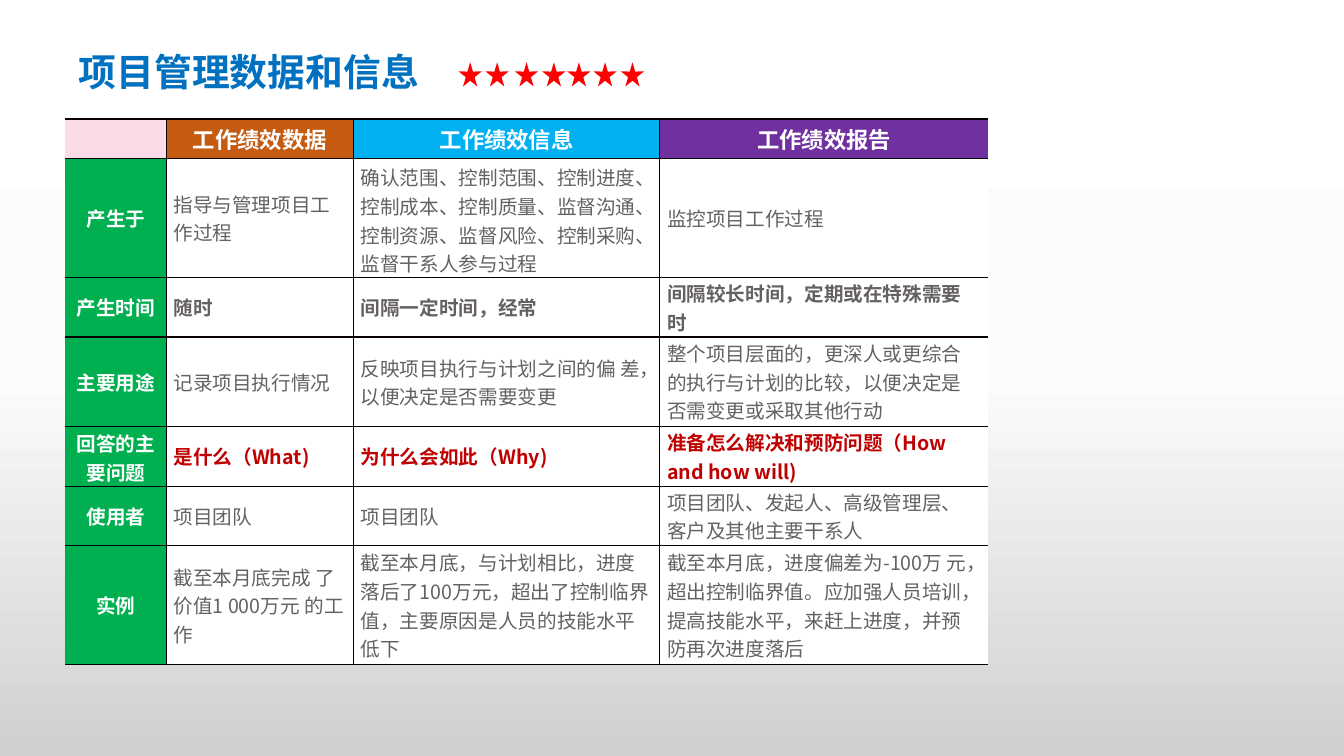
import copy
import lxml.etree
import pptx
import pptx.dml.color
import pptx.enum.shapes
import pptx.enum.text
import pptx.oxml.ns
import pptx.util

Cm = pptx.util.Cm
Pt = pptx.util.Pt
ALIGN = pptx.enum.text.PP_ALIGN
ANCHOR = pptx.enum.text.MSO_ANCHOR
qn = pptx.oxml.ns.qn

HUES = {
    "title": "0070C0", "star": "FF0000", "line": "080000", "white": "FFFFFF",
    "text": "656161", "key": "C00000", "side": "00B050", "blank": "FBDBE7",
    "data": "C55A11", "info": "00B0F0", "report": "7030A0",
    "mid": "FBFBFB", "end": "D0D0D0",
}
HEADS = ["blank", "data", "info", "report"]
COLS = [2.54, 4.72, 7.72, 8.28]
TALL, LOW = 3, 1.5
ROWS = [0.99, TALL, LOW, 2.26, LOW, LOW, TALL]
TIME, ASK = 2, 4  # rows with bold text
CELLS = [
    ["", "工作绩效数据", "工作绩效信息", "工作绩效报告"],
    ["产生于", "指导与管理项目工作过程",
     "确认范围、控制范围、控制进度、控制成本、控制质量、监督沟通、控制资源、监督风险、控制采购、监督干系人参与过程",
     "监控项目工作过程"],
    ["产生时间", "随时", "间隔一定时间，经常", "间隔较长时间，定期或在特殊需要时"],
    ["主要用途", "记录项目执行情况", "反映项目执行与计划之间的偏 差，以便决定是否需要变更",
     "整个项目层面的，更深人或更综合的执行与计划的比较，以便决定是否需变更或采取其他行动"],
    ["回答的主 要问题", "是什么（What)", "为什么会如此（Why)",
     "准备怎么解决和预防问题（How and how will)"],
    ["使用者", "项目团队", "项目团队", "项目团队、发起人、高级管理层、 客户及其他主要干系人"],
    ["实例", "截至本月底完成 了价值1 000万元 的工作",
     "截至本月底，与计划相比，进度落后了100万元，超出了控制临界值，主要原因是人员的技能水平低下",
     "截至本月底，进度偏差为-100万 元，超出控制临界值。应加强人员培训，提高技能水平，来赶上进度，并预防再次进度落后"],
]
LOW_CELLS = [(1, 2), (4, 0)]  # text sits at the bottom
STARS = [11.56, 12.24, 12.98, 13.67, 14.3, 14.96, 15.65]


def rgb(name):
    return pptx.dml.color.RGBColor.from_string(HUES[name])


class Deck:
    font = "Noto Sans CJK SC"

    def __init__(self):
        self.prs = pptx.Presentation()
        self.prs.slide_width, self.prs.slide_height = Cm(33.87), Cm(19.05)
        self.slide = self.prs.slides.add_slide(self.prs.slide_layouts[5])

    def ground(self, names):
        fill = self.slide.background.fill
        fill.gradient()
        fill.gradient_angle = 270
        first = fill.gradient_stops[0]._gs
        first.addnext(copy.deepcopy(first))
        for i, (stop, name) in enumerate(zip(fill.gradient_stops, names)):
            stop.color.rgb = rgb(name)
            stop.position = i / (len(names) - 1)

    def style(self, par, size, hue, bold, face=None):
        for run in par.runs:
            font = run.font
            font.size, font.bold = Pt(size), bold
            font.color.rgb = rgb(hue)
            font.name = face or self.font
            east = lxml.etree.SubElement(run._r.get_or_add_rPr(), qn("a:ea"))
            east.set("typeface", self.font)

    def title(self, text, box):
        shape = self.slide.shapes.title
        shape.left, shape.top, shape.width, shape.height = map(Cm, box)
        frame = shape.text_frame
        frame.text = text
        frame.vertical_anchor = ANCHOR.MIDDLE
        par = frame.paragraphs[0]
        par.alignment, par.line_spacing = ALIGN.LEFT, 0.9
        self.style(par, 27, "title", True, "Cambria")

    def star(self, left, top):
        kind = pptx.enum.shapes.MSO_SHAPE.STAR_5_POINT
        shape = self.slide.shapes.add_shape(kind, Cm(left), Cm(top), Cm(0.58), Cm(0.61))
        shape.shadow.inherit = False
        shape.fill.solid()
        shape.fill.fore_color.rgb = rgb("star")
        shape.line.fill.background()

    def edges(self, cell, bare):
        props = cell._tc.get_or_add_tcPr()
        for i, side in enumerate("LRTB"):
            line = lxml.etree.Element(qn("a:ln" + side), w=str(Pt(1)))
            if side == bare:
                lxml.etree.SubElement(line, qn("a:noFill"))
            else:
                fill = lxml.etree.SubElement(line, qn("a:solidFill"))
                lxml.etree.SubElement(fill, qn("a:srgbClr"), val=HUES["line"])
            props.insert(i, line)

    def cell(self, cell, text, back, hue, size, bold, mid, low, bare):
        cell.margin_left = cell.margin_right = Cm(0.18)
        cell.margin_top = cell.margin_bottom = 0
        cell.vertical_anchor = ANCHOR.BOTTOM if low else ANCHOR.MIDDLE
        cell.fill.solid()
        cell.fill.fore_color.rgb = rgb(back)
        self.edges(cell, bare)
        cell.text_frame.text = text
        par = cell.text_frame.paragraphs[0]
        par.alignment = ALIGN.CENTER if mid else ALIGN.LEFT
        self.style(par, size, hue, bold)

    def table(self, left, top):
        grid = self.slide.shapes.add_table(
            len(ROWS), len(COLS), Cm(left), Cm(top), Cm(sum(COLS)), Cm(sum(ROWS))).table
        for col, width in zip(grid.columns, COLS):
            col.width = Cm(width)
        for row, height in zip(grid.rows, ROWS):
            row.height = Cm(height)
        for r, texts in enumerate(CELLS):
            for c, text in enumerate(texts):
                label = r == 0 or c == 0
                back = HEADS[c] if r == 0 else "side" if c == 0 else "white"
                hue = "white" if label else "key" if r == ASK else "text"
                bare = {0: "L", len(COLS) - 1: "R"}.get(c)
                self.cell(grid.cell(r, c), text, back, hue, 14 if r else 16,
                          label or r in (TIME, ASK), label, (r, c) in LOW_CELLS, bare)


def main():
    deck = Deck()
    # Background and title
    deck.ground(["white", "mid", "end"])
    deck.title("项目管理数据和信息", (1.73, 1.14, 21.41, 1.45))
    # Comparison table
    deck.table(1.65, 3)
    # Rating stars
    for left in STARS:
        deck.star(left, 1.57)
    deck.prs.save("out.pptx")


if __name__ == "__main__":
    main()
